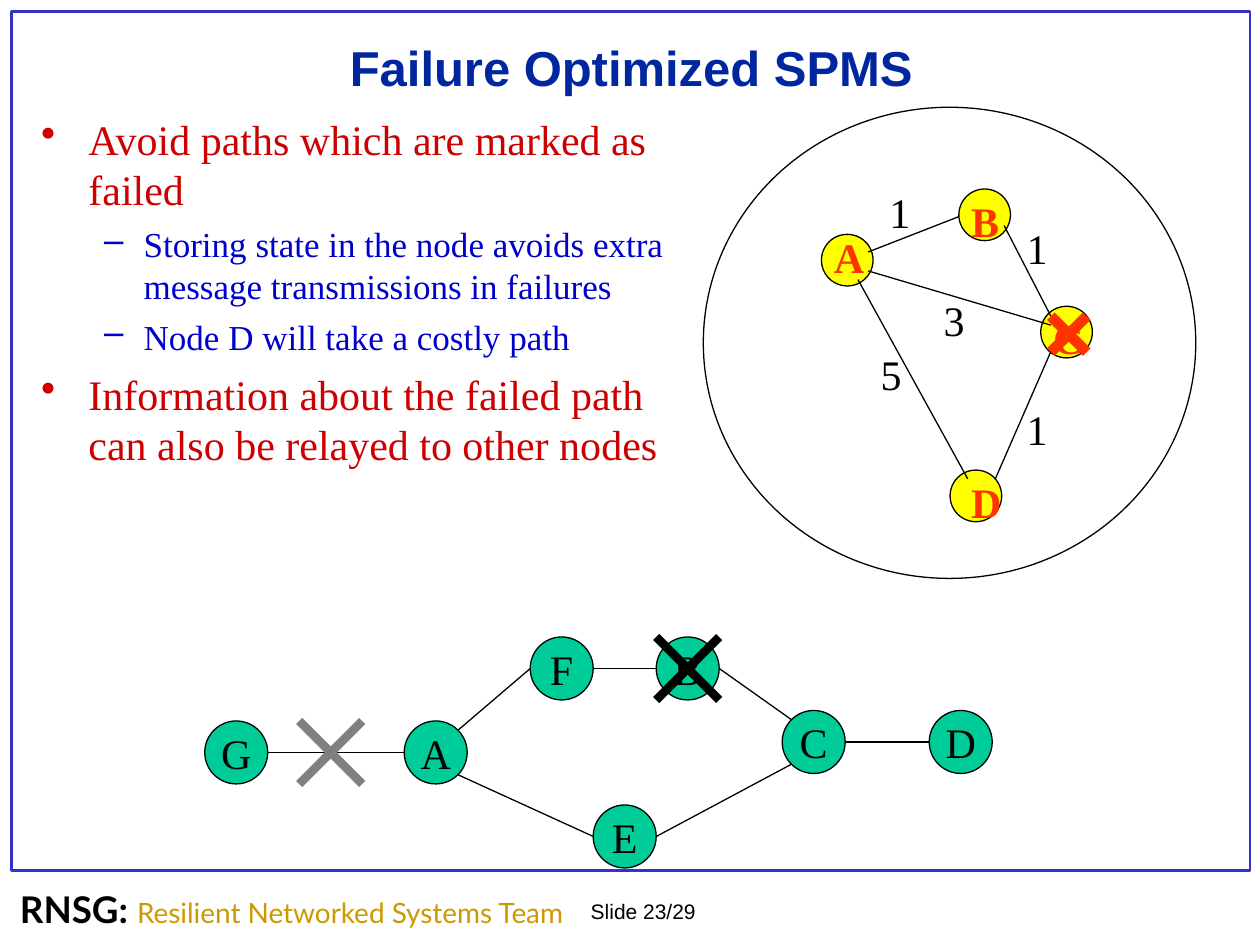
"""Build the slide on failure-optimized routing with its two network diagrams."""
import math

from lxml import etree
from pptx import Presentation
from pptx.dml.color import RGBColor
from pptx.enum import shapes, text
from pptx.oxml import ns
from pptx.util import Pt

COLORS = {
    "black": "000000", "frame": "3333CC", "title": "00279F", "red": "CC0000",
    "blue": "0000CC", "gold": "CC9900", "yellow": "FFFF00", "orange": "FF3300",
    "green": "00CC99", "gray": "808080",
}
SERIF, SANS, FOOTER = "Times New Roman", "Arial", "Lato"

TITLE = "Failure Optimized SPMS"
BULLETS = [
    (0, "Avoid paths which are marked as failed"),
    (1, "Storing state in the node avoids extra message transmissions in failures"),
    (1, "Node D will take a costly path"),
    (0, "Information about the failed path can also be relayed to other nodes"),
]
LEVELS = [
    {"mark": "•", "color": "red", "size": 24, "before": 6, "margin": 27, "hang": 27},
    {"mark": "–", "color": "blue", "size": 20, "before": 5, "margin": 58.5, "hang": 22.5},
]
LAB_SHORT, LAB_NAME = "RNSG: ", "Resilient Networked Systems Team"
SLIDE_NUMBER = "Slide 23/29"

RANGE_BOX = (401.9, 61.3, 281.4, 269.2)
RANGE_DIAMETER = 29.5
RANGE_NODES = {"A": (469.4, 133.9), "C": (594.7, 175), "D": (542.9, 268.6), "B": (547.9, 108)}
RANGE_LETTERS = {"A": (469.4, 128.9), "B": (547.9, 108), "C": (594.7, 175), "D": (547.9, 268.6)}
RANGE_LINKS = [
    ((490.3, 159.8), (553, 273.6)),
    ((496.1, 144), (547.9, 123.8)),
    ((573.8, 128.9), (600.5, 180.7)),
    ((568.8, 273.6), (600.5, 200.9)),
    ((496.1, 154.8), (600.5, 185.8)),
]
WEIGHTS = [("5", 496.1, 195.8), ("1", 579.6, 226.8), ("3", 532.1, 164.9),
           ("1", 579.6, 123.8), ("1", 501.1, 103)]

ROUTE_DIAMETER = 36
ROUTE_NODES = {"E": (339, 460), "C": (447, 406), "D": (531, 406), "A": (231, 412),
               "F": (303, 364), "B": (375, 364), "G": (117, 412)}
ROUTE_LINKS = [("F", "right", "B", "left"), ("B", "right", "C", "upper left"),
               ("C", "right", "D", "left"), ("A", "lower right", "E", "left"),
               ("E", "right", "C", "lower left"), ("A", "upper right", "F", "left"),
               ("G", "right", "A", "left")]
ANGLES = {"right": 0, "lower right": 45, "lower left": 135, "left": 180,
          "upper left": 225, "upper right": 315}
CROSSES = [(600.5, 180.7, 20.5, "orange", 6), (375, 364, 36, "black", 5),
           (171, 412, 36, "gray", 5)]


def rgb(name):
    """Return the named colour."""
    return RGBColor.from_string(COLORS[name])


def write(paragraph, words, size=24, color="black", font=SERIF, bold=False):
    """Add a formatted run to a paragraph."""
    run = paragraph.add_run()
    run.text = words
    run.font.size = Pt(size)
    run.font.name = font
    run.font.bold = bold
    run.font.color.rgb = rgb(color)


def add_box(slide, left, top, width, height, wrap=True):
    """Add an empty text box and return its text frame."""
    frame = slide.shapes.add_textbox(Pt(left), Pt(top), Pt(width), Pt(height)).text_frame
    frame.word_wrap = wrap
    return frame


def add_outline(slide, kind, box, fill=None, line="black", weight=0.75):
    """Add a preset shape with a plain outline."""
    shape = slide.shapes.add_shape(kind, *map(Pt, box))
    shape.shadow.inherit = False
    if fill:
        shape.fill.solid()
        shape.fill.fore_color.rgb = rgb(fill)
    else:
        shape.fill.background()
    shape.line.color.rgb = rgb(line)
    shape.line.width = Pt(weight)
    return shape


def add_line(slide, start, end, color="black", weight=0.75):
    """Add a straight line between two points."""
    line = slide.shapes.add_connector(shapes.MSO_CONNECTOR.STRAIGHT, *map(Pt, (*start, *end)))
    line.line.color.rgb = rgb(color)
    line.line.width = Pt(weight)
    etree.SubElement(line._element.spPr, ns.qn("a:effectLst"))


def add_cross(slide, left, top, size, color, weight):
    """Strike out a square area with two diagonals."""
    right, bottom = left + size, top + size
    add_line(slide, (left, top), (right, bottom), color, weight)
    add_line(slide, (left, bottom), (right, top), color, weight)


def set_bullet(paragraph, level):
    """Give a paragraph the indent and bullet of its level."""
    properties = paragraph._p.get_or_add_pPr()
    properties.set("marL", str(Pt(level["margin"])))
    properties.set("indent", str(-Pt(level["hang"])))
    color = etree.SubElement(properties, ns.qn("a:buClr"))
    etree.SubElement(color, ns.qn("a:srgbClr"), val=COLORS[level["color"]])
    etree.SubElement(properties, ns.qn("a:buChar"), char=level["mark"])


def add_title(slide):
    """Place and fill the title."""
    title = slide.shapes.title
    title.left, title.top, title.width, title.height = map(Pt, (17.3, 17.3, 686.9, 41.8))
    title.text_frame.vertical_anchor = text.MSO_ANCHOR.MIDDLE
    paragraph = title.text_frame.paragraphs[0]
    paragraph.alignment = text.PP_ALIGN.CENTER
    write(paragraph, TITLE, size=28, color="title", font=SANS, bold=True)


def add_bullets(slide):
    """Add the bulleted text."""
    frame = add_box(slide, 16.5, 61.2, 391, 319.7)
    for index, (depth, words) in enumerate(BULLETS):
        paragraph = frame.add_paragraph() if index else frame.paragraphs[0]
        level = LEVELS[depth]
        paragraph.level = depth
        paragraph.space_before = Pt(level["before"])
        set_bullet(paragraph, level)
        write(paragraph, words, size=level["size"], color=level["color"])


def add_footer(slide):
    """Add the slide number and the lab name."""
    number = add_box(slide, 330.5, 509.8, 116, 21.6, wrap=False)
    write(number.paragraphs[0], SLIDE_NUMBER, size=12, font=SANS)
    paragraph = add_box(slide, 4.3, 508.3, 352, 43.2).paragraphs[0]
    paragraph.line_spacing = 0.8
    write(paragraph, LAB_SHORT, size=21, font=FOOTER, bold=True)
    write(paragraph, LAB_NAME, size=16, color="gold", font=FOOTER)


def add_range_network(slide):
    """Draw the weighted network inside its radio range."""
    oval = shapes.MSO_SHAPE.OVAL
    for left, top in RANGE_NODES.values():
        add_outline(slide, oval, (left, top, RANGE_DIAMETER, RANGE_DIAMETER), fill="yellow")
    add_outline(slide, oval, RANGE_BOX)
    for start, end in RANGE_LINKS:
        add_line(slide, start, end)
    for letter, (left, top) in RANGE_LETTERS.items():
        paragraph = add_box(slide, left, top, 26, 36).paragraphs[0]
        write(paragraph, letter, color="orange", bold=True)
    for weight, left, top in WEIGHTS:
        write(add_box(slide, left, top, 36.7, 36).paragraphs[0], weight)


def rim_point(node, side):
    """Return the point on a route node's rim at the given side."""
    radius, angle = ROUTE_DIAMETER / 2, math.radians(ANGLES[side])
    left, top = ROUTE_NODES[node]
    return left + radius * (1 + math.cos(angle)), top + radius * (1 + math.sin(angle))


def add_route_network(slide):
    """Draw the lettered nodes of the route and their links."""
    for letter, (left, top) in ROUTE_NODES.items():
        box = (left, top, ROUTE_DIAMETER, ROUTE_DIAMETER)
        frame = add_outline(slide, shapes.MSO_SHAPE.OVAL, box, fill="green").text_frame
        frame.word_wrap = False
        frame.vertical_anchor = text.MSO_ANCHOR.MIDDLE
        frame.paragraphs[0].alignment = text.PP_ALIGN.CENTER
        write(frame.paragraphs[0], letter)
    for start, start_side, end, end_side in ROUTE_LINKS:
        add_line(slide, rim_point(start, start_side), rim_point(end, end_side))


def main():
    """Build and save the presentation."""
    presentation = Presentation()
    presentation.slide_width, presentation.slide_height = Pt(720), Pt(540)
    slide = presentation.slides.add_slide(presentation.slide_layouts[5])
    frame_box = (6.5, 6.5, 707.8, 491)
    add_outline(slide, shapes.MSO_SHAPE.RECTANGLE, frame_box, line="frame", weight=1.5)
    add_footer(slide)
    add_title(slide)
    add_bullets(slide)
    add_range_network(slide)
    add_route_network(slide)
    for cross in CROSSES:
        add_cross(slide, *cross)
    presentation.save("out.pptx")


if __name__ == "__main__":
    main()
